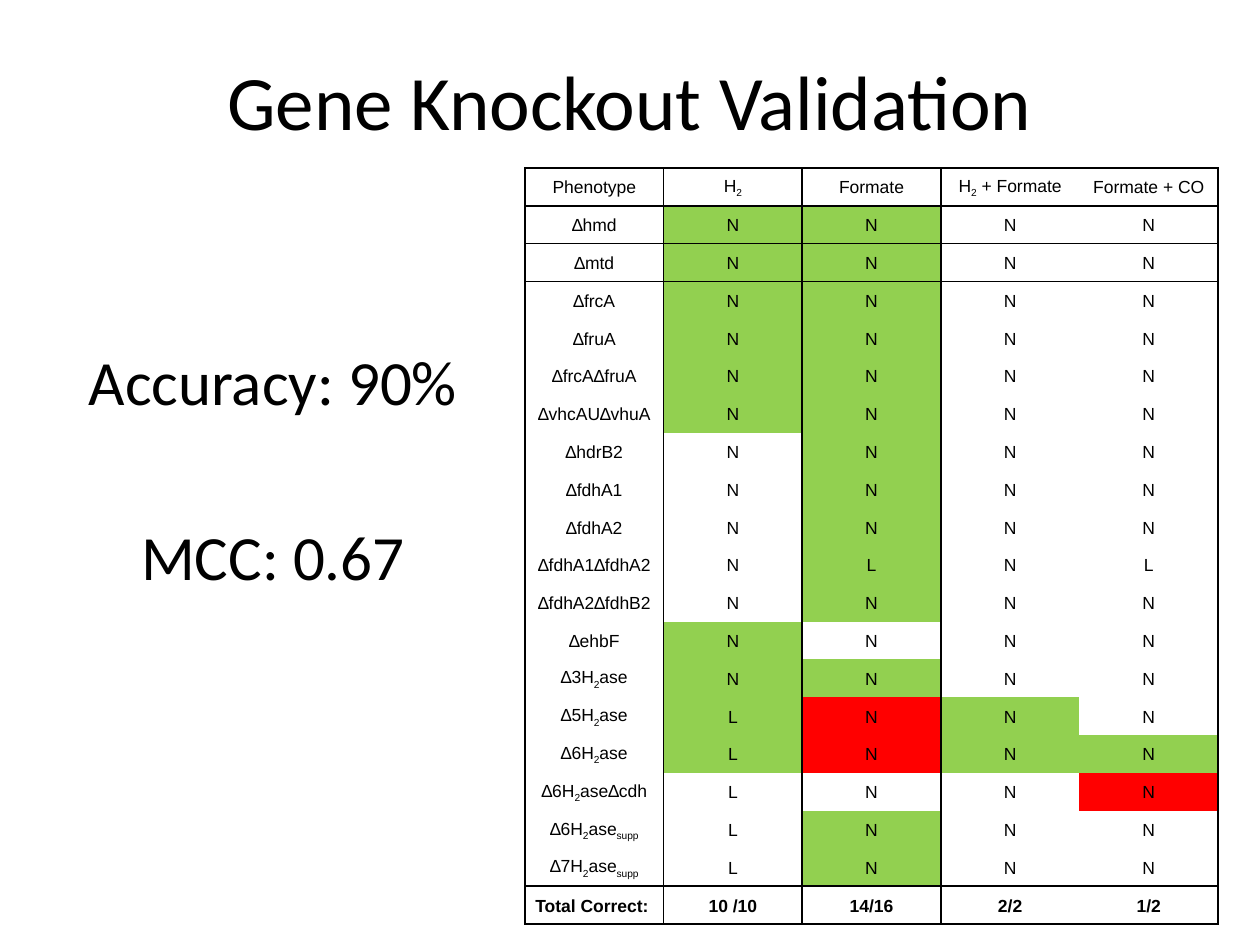
from lxml.etree import SubElement
from pptx import Presentation
from pptx.dml.color import RGBColor
from pptx.enum.text import MSO_ANCHOR as Anchor, PP_ALIGN as Align
from pptx.oxml.ns import qn
from pptx.util import Pt

EMU_PER_PX = 7620
BLACK = RGBColor(0x00, 0x00, 0x00)
GREEN = RGBColor(0x92, 0xD0, 0x50)
RED = RGBColor(0xFF, 0x00, 0x00)
FILLS = {"G": GREEN, "R": RED}
NO_STYLE = "{2D5ABB26-0587-4C30-8999-92F81FD0307C}"

HEADER = ["Phenotype", "H~2~", "Formate", "H~2~ + Formate", "Formate + CO"]
KNOCKOUTS = [
    ("∆hmd", "NNNN", "GG--"),
    ("∆mtd", "NNNN", "GG--"),
    ("∆frcA", "NNNN", "GG--"),
    ("∆fruA", "NNNN", "GG--"),
    ("∆frcA∆fruA", "NNNN", "GG--"),
    ("∆vhcAU∆vhuA", "NNNN", "GG--"),
    ("∆hdrB2", "NNNN", "-G--"),
    ("∆fdhA1", "NNNN", "-G--"),
    ("∆fdhA2", "NNNN", "-G--"),
    ("∆fdhA1∆fdhA2", "NLNL", "-G--"),
    ("∆fdhA2∆fdhB2", "NNNN", "-G--"),
    ("∆ehbF", "NNNN", "G---"),
    ("∆3H~2~ase", "NNNN", "GG--"),
    ("∆5H~2~ase", "LNNN", "GRG-"),
    ("∆6H~2~ase", "LNNN", "GRGG"),
    ("∆6H~2~ase∆cdh", "LNNN", "---R"),
    ("∆6H~2~ase~supp~", "LNNN", "-G--"),
    ("∆7H~2~ase~supp~", "LNNN", "-G--"),
]
TOTALS = ["Total Correct: ", "10 /10", "14/16", "2/2", "1/2"]


def px(length):
    return length * EMU_PER_PX


class SlideBuilder:
    text_font = "Calibri"
    table_font = "Arial"
    table_size = 10
    border_width = 1

    def __init__(self, slide):
        self.slide = slide

    def place(self, shape, left, top, width, height):
        shape.left, shape.top = px(left), px(top)
        shape.width, shape.height = px(width), px(height)

    def style(self, paragraph, font_name, size, bold=False):
        paragraph.alignment = Align.CENTER
        font = paragraph.font
        font.name, font.size, font.bold = font_name, Pt(size), bold
        font.color.rgb = BLACK

    def title(self, text, box):
        shape = self.slide.shapes.title
        self.place(shape, *box)
        shape.text_frame.text = text
        shape.text_frame.vertical_anchor = Anchor.MIDDLE
        self.style(shape.text_frame.paragraphs[0], self.text_font, 44)

    def body(self, lines, box, gap):
        shape = self.slide.placeholders[1]
        self.place(shape, *box)
        shape.text_frame.text = "\n".join(lines)
        for index, paragraph in enumerate(shape.text_frame.paragraphs):
            self.style(paragraph, self.text_font, 36)
            if index:
                paragraph.space_before = Pt(gap)
            properties = paragraph._p.get_or_add_pPr()
            properties.set("marL", "0")
            properties.set("indent", "0")
            properties.insert_element_before(
                properties.makeelement(qn("a:buNone")), "a:tabLst", "a:defRPr", "a:extLst")

    def table(self, rows, fills, box, ruled_rows, ruled_columns):
        row_count, column_count = len(rows), len(rows[0])
        frame = self.slide.shapes.add_table(row_count, column_count, *map(px, box))
        table = frame.table
        table.first_row = table.horz_banding = False
        table._tbl.tblPr.find(qn("a:tableStyleId")).text = NO_STYLE
        for column in table.columns:
            column.width = px(box[2] // column_count)
        for row in table.rows:
            row.height = px(box[3] // row_count)
        for y, texts in enumerate(rows):
            for x, text in enumerate(texts):
                cell = table.cell(y, x)
                sides = {
                    "L": x in ruled_columns,
                    "R": x + 1 in ruled_columns,
                    "T": y in ruled_rows,
                    "B": y + 1 in ruled_rows,
                }
                self.borders(cell, [side for side, ruled in sides.items() if ruled])
                self.cell(cell, text, fills.get((y, x)), bold=y == row_count - 1)

    def cell(self, cell, text, fill, bold):
        cell.margin_left = cell.margin_right = cell.margin_top = px(2)
        cell.margin_bottom = 0
        cell.vertical_anchor = Anchor.MIDDLE
        if fill:
            cell.fill.solid()
            cell.fill.fore_color.rgb = fill
        else:
            cell.fill.background()
        paragraph = cell.text_frame.paragraphs[0]
        self.style(paragraph, self.table_font, self.table_size, bold)
        for index, part in enumerate(text.split("~")):
            if part:
                run = paragraph.add_run()
                run.text = part
                run.font.name, run.font.size = self.table_font, Pt(self.table_size)
                run.font.bold = bold
                run.font.color.rgb = BLACK
                if index % 2:
                    run._r.get_or_add_rPr().set("baseline", "-25000")

    def borders(self, cell, sides):
        properties = cell._tc.get_or_add_tcPr()
        for side in sides:
            line = SubElement(properties, qn(f"a:ln{side}"), w=str(Pt(self.border_width)))
            SubElement(SubElement(line, qn("a:solidFill")), qn("a:srgbClr"), val=str(BLACK))


def main():
    presentation = Presentation()
    presentation.slide_width, presentation.slide_height = px(1200), px(900)
    slide = presentation.slides.add_slide(presentation.slide_layouts[1])
    builder = SlideBuilder(slide)
    builder.title("Gene Knockout Validation", (60, 20, 1080, 150))
    builder.body(["Accuracy: 90%", "MCC: 0.67"], (40, 320, 440, 524), gap=57)

    rows = [HEADER] + [[name, *growth] for name, growth, _ in KNOCKOUTS] + [TOTALS]
    fills = {
        (y, x): FILLS[mark]
        for y, (_, _, marks) in enumerate(KNOCKOUTS, 1)
        for x, mark in enumerate(marks, 1)
        if mark in FILLS
    }
    builder.table(rows, fills, (500, 160, 660, 720),
                  ruled_rows={0, 1, 2, 19, 20}, ruled_columns={0, 1, 2, 5})
    presentation.save("out.pptx")


if __name__ == "__main__":
    main()
